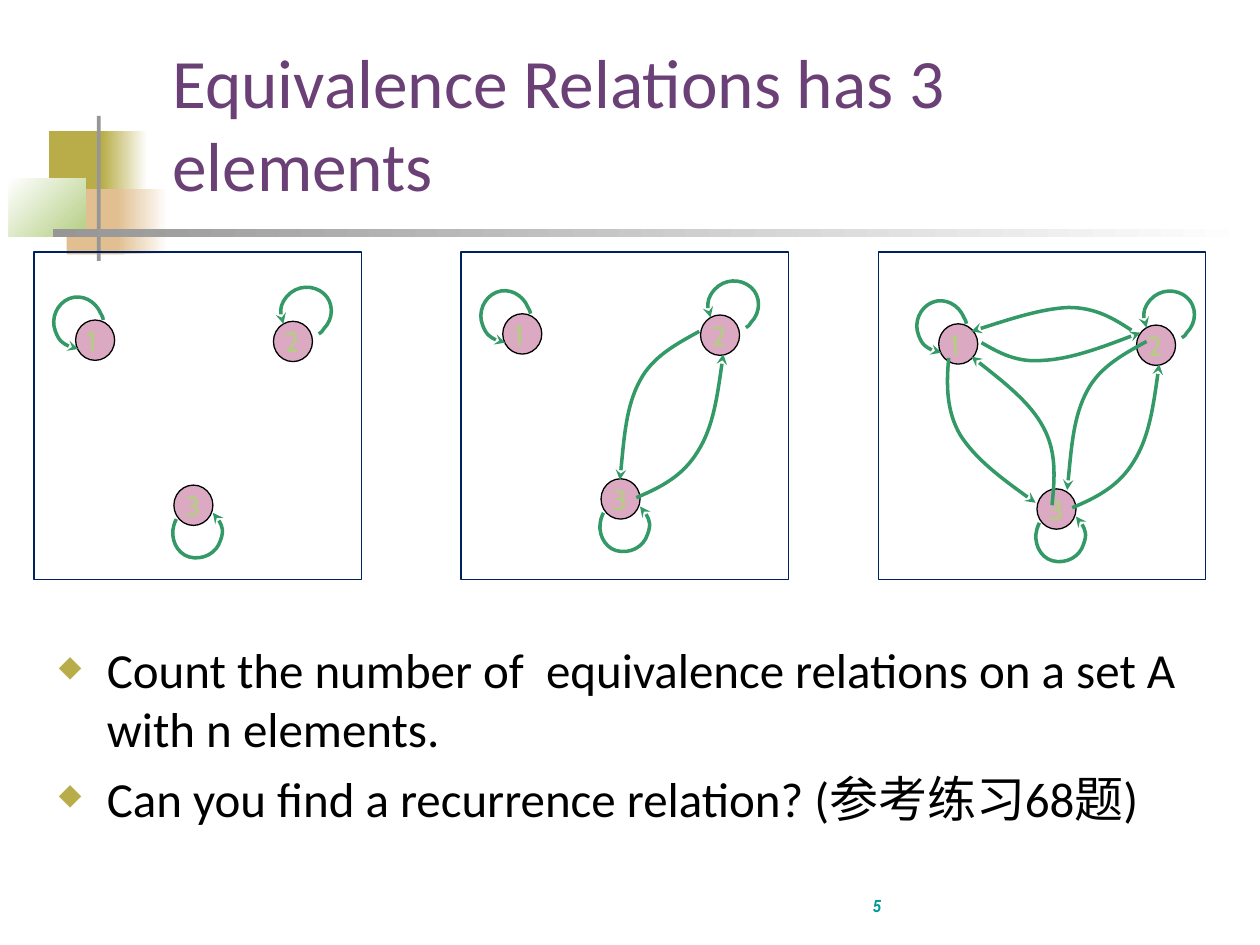
from typing import NamedTuple, Optional

from lxml.etree import SubElement
from pptx import Presentation
from pptx.dml.color import RGBColor
from pptx.enum.shapes import MSO_SHAPE as SHAPE
from pptx.enum.text import MSO_ANCHOR as ANCHOR, PP_ALIGN as ALIGN
from pptx.oxml.ns import qn
from pptx.util import Inches, Pt

OLIVE = RGBColor(0xB8, 0xAD, 0x48)
TAN = RGBColor(0xE1, 0xBF, 0x91)
LIGHT_GREEN = RGBColor(0xB3, 0xCE, 0x82)
GRAY = RGBColor(0x96, 0x96, 0x96)
WHITE = RGBColor(0xFF, 0xFF, 0xFF)
BLACK = RGBColor(0, 0, 0)
PURPLE = RGBColor(0x6A, 0x40, 0x76)
PINK = RGBColor(0xDB, 0xA9, 0xC2)
GREEN = RGBColor(0x33, 0x99, 0x66)
NAVY = RGBColor(0x00, 0x20, 0x60)
TEAL = RGBColor(0x00, 0x99, 0x99)

Points = list[tuple[float, float]]


class Box(NamedTuple):
    x: float
    y: float
    w: float
    h: float


class Band(NamedTuple):
    box: Box
    start: RGBColor
    end: Optional[RGBColor] = None
    angle: float = 0


class Node(NamedTuple):
    label: str
    x: float
    y: float
    loop: Points


class Panel(NamedTuple):
    left: float
    dx: float
    dy: float
    edges: list[Points]


def shift(points: Points, dx: float, dy: float) -> Points:
    return [(x + dx, y + dy) for x, y in points]


BANDS = [
    Band(Box(0.39, 1.04, 0.48, 0.52), OLIVE),
    Band(Box(0.81, 1.04, 0.36, 0.52), OLIVE, WHITE),
    Band(Box(0.53, 1.5, 0.46, 0.52), TAN),
    Band(Box(0.93, 1.5, 0.4, 0.52), TAN, WHITE),
    Band(Box(0.07, 1.42, 0.61, 0.46), WHITE, LIGHT_GREEN, 315),
    Band(Box(0.77, 0.92, 0.03, 1.15), GRAY),
    Band(Box(0.42, 1.82, 9.51, 0.06), GRAY, WHITE),
]

NODES = [
    Node("1", 0.6, 2.54, [
        (0.82, 2.54), (0.82, 2.52), (0.81, 2.51), (0.8, 2.49), (0.76, 2.39),
        (0.65, 2.33), (0.55, 2.37), (0.45, 2.41), (0.4, 2.53), (0.44, 2.63),
        (0.47, 2.71), (0.54, 2.76), (0.62, 2.77)]),
    Node("2", 2.17, 2.55, [
        (2.53, 2.65), (2.55, 2.64), (2.56, 2.63), (2.57, 2.61), (2.65, 2.53),
        (2.65, 2.4), (2.57, 2.33), (2.49, 2.26), (2.36, 2.26), (2.28, 2.35),
        (2.23, 2.41), (2.21, 2.5), (2.25, 2.57)]),
    Node("3", 1.38, 3.85, [
        (1.4, 4.12), (1.39, 4.13), (1.39, 4.15), (1.38, 4.17), (1.35, 4.27),
        (1.4, 4.39), (1.5, 4.42), (1.61, 4.45), (1.72, 4.39), (1.75, 4.29),
        (1.78, 4.21), (1.75, 4.12), (1.69, 4.07)]),
]

EDGE_2_3 = [(5.55, 2.63), (5.37, 2.73), (5.18, 2.83), (5.08, 3.02),
            (4.97, 3.22), (4.95, 3.52), (4.92, 3.81)]
EDGE_3_2 = [(5.05, 3.95), (5.24, 3.87), (5.42, 3.78), (5.54, 3.58),
            (5.66, 3.39), (5.7, 3.1), (5.74, 2.81)]
EDGE_1_3 = [(7.53, 2.84), (7.51, 3.05), (7.51, 3.26), (7.62, 3.45),
            (7.74, 3.64), (7.98, 3.82), (8.22, 3.99)]
EDGE_3_1 = [(8.35, 4.01), (8.37, 3.8), (8.39, 3.59), (8.28, 3.39),
            (8.18, 3.2), (7.94, 3.01), (7.71, 2.83)]
EDGE_2_1 = [(8.98, 2.62), (8.84, 2.53), (8.7, 2.44), (8.48, 2.44),
            (8.27, 2.45), (7.99, 2.54), (7.71, 2.63)]
EDGE_1_2 = [(7.79, 2.72), (7.93, 2.8), (8.07, 2.88), (8.28, 2.86),
            (8.49, 2.85), (8.77, 2.75), (9.05, 2.64)]

PANELS = [
    Panel(0.27, 0, 0, []),
    Panel(3.66, 3.39, -0.05, [EDGE_2_3, EDGE_3_2]),
    Panel(6.97, 6.85, 0.03, [
        shift(EDGE_2_3, 3.55, 0.08), shift(EDGE_3_2, 3.46, 0.08),
        EDGE_1_3, EDGE_3_1, EDGE_2_1, EDGE_1_2]),
]

BULLETS = [
    "Count the number of  equivalence relations on a set A with n elements.",
    "Can you find a recurrence relation? (参考练习68题)",
]


def add_preset(s, kind, box: Box, fill: Optional[RGBColor] = None,
               line: Optional[RGBColor] = None):
    sp = s.shapes.add_shape(kind, *map(Inches, box))
    sp.shadow.inherit = False
    if fill is None:
        sp.fill.background()
    else:
        sp.fill.solid()
        sp.fill.fore_color.rgb = fill
    if line is None:
        sp.line.fill.background()
    else:
        sp.line.color.rgb = line
        sp.line.width = Pt(0.75)
    return sp


def add_band(s, band: Band) -> None:
    sp = add_preset(s, SHAPE.RECTANGLE, band.box, band.start)
    if band.end is not None:
        sp.fill.gradient()
        sp.fill.gradient_angle = band.angle
        for stop, color in zip(sp.fill.gradient_stops, (band.start, band.end)):
            stop.color.rgb = color


def add_text_frame(s, box: Box, anchor=ANCHOR.TOP, wrap: bool = True):
    tf = s.shapes.add_textbox(*map(Inches, box)).text_frame
    tf.word_wrap = wrap
    tf.vertical_anchor = anchor
    return tf


def add_run(p, text: str, font: str, size: float, color: RGBColor):
    r = p.add_run()
    r.text = text
    r.font.name = font
    r.font.size = Pt(size)
    r.font.color.rgb = color
    return r


def add_arrow_curve(s, points: Points) -> None:
    start, *rest = [(Inches(x), Inches(y)) for x, y in points]
    builder = s.shapes.build_freeform(*start)
    builder.add_line_segments(rest, close=False)
    sp = builder.convert_to_shape()
    sp.shadow.inherit = False
    sp.fill.background()
    sp.line.color.rgb = GREEN
    sp.line.width = Pt(2)
    SubElement(sp._element.spPr.find(qn("a:ln")), qn("a:tailEnd"), type="stealth")
    segments = sp._element.xpath(".//a:lnTo")
    outline = segments[0].getparent()
    for i in range(0, len(segments), 3):
        bezier = SubElement(outline, qn("a:cubicBezTo"))
        for segment in segments[i:i + 3]:
            bezier.append(segment[0])
            outline.remove(segment)


def add_panel(s, panel: Panel) -> None:
    for node in NODES:
        x, y = node.x + panel.dx, node.y + panel.dy
        add_preset(s, SHAPE.OVAL, Box(x, y, 0.31, 0.32), PINK, BLACK)
        tf = add_text_frame(s, Box(x - 0.01, y - 0.02, 0.32, 0.37), wrap=False)
        add_run(tf.paragraphs[0], node.label, "Cabin", 16, LIGHT_GREEN)
        add_arrow_curve(s, shift(node.loop, panel.dx, panel.dy))
    for edge in panel.edges:
        add_arrow_curve(s, edge)
    add_preset(s, SHAPE.RECTANGLE, Box(panel.left, 2, 2.6, 2.6), line=NAVY)


def add_bullet(p, text: str) -> None:
    p.space_before = Pt(6)
    pPr = p._p.get_or_add_pPr()
    pPr.set("marL", str(Inches(0.38)))
    pPr.set("indent", str(-Inches(0.38)))
    SubElement(SubElement(pPr, qn("a:buClr")), qn("a:srgbClr"), val=str(OLIVE))
    SubElement(pPr, qn("a:buSzPct"), val="60000")
    SubElement(pPr, qn("a:buChar"), char="◆")
    add_run(p, text, "Calibri", 28, BLACK)


def main() -> None:
    prs = Presentation()
    prs.slide_width, prs.slide_height = Inches(10), Inches(7.5)
    s = prs.slides.add_slide(prs.slide_layouts[6])
    for band in BANDS:
        add_band(s, band)

    p = add_text_frame(s, Box(1.27, 6.82, 5.82, 0.5), ANCHOR.BOTTOM).paragraphs[0]
    p.alignment = ALIGN.RIGHT
    r = add_run(p, "5", "Arial Narrow", 10, TEAL)
    r.font.bold = r.font.italic = True

    tf = add_text_frame(s, Box(1.27, 0.43, 8.52, 1.25), ANCHOR.BOTTOM)
    tf.margin_right = Inches(0.3)
    add_run(tf.paragraphs[0], "Equivalence Relations has 3 elements", "Calibri", 39.6, PURPLE)

    for panel in PANELS:
        add_panel(s, panel)

    tf = add_text_frame(s, Box(0.37, 5.03, 9.26, 1.59))
    for i, text in enumerate(BULLETS):
        add_bullet(tf.add_paragraph() if i else tf.paragraphs[0], text)
    prs.save("out.pptx")


if __name__ == "__main__":
    main()
